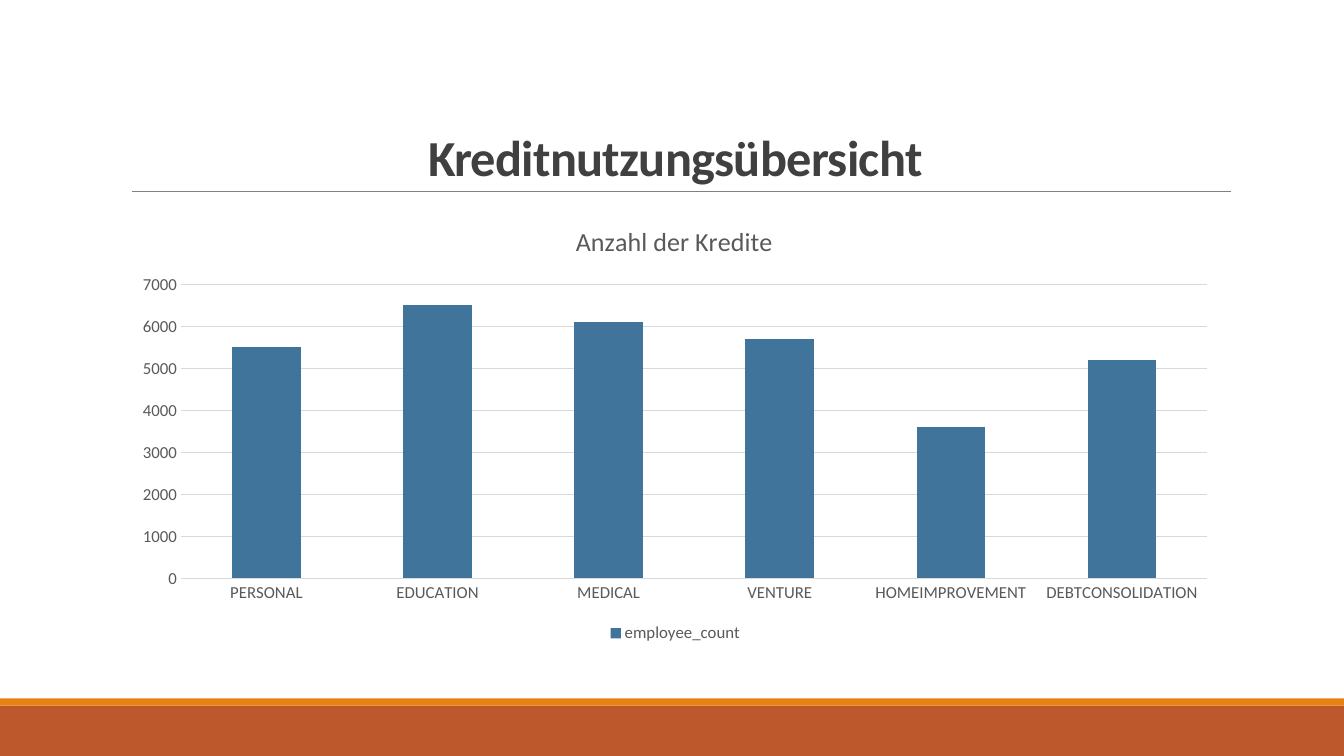
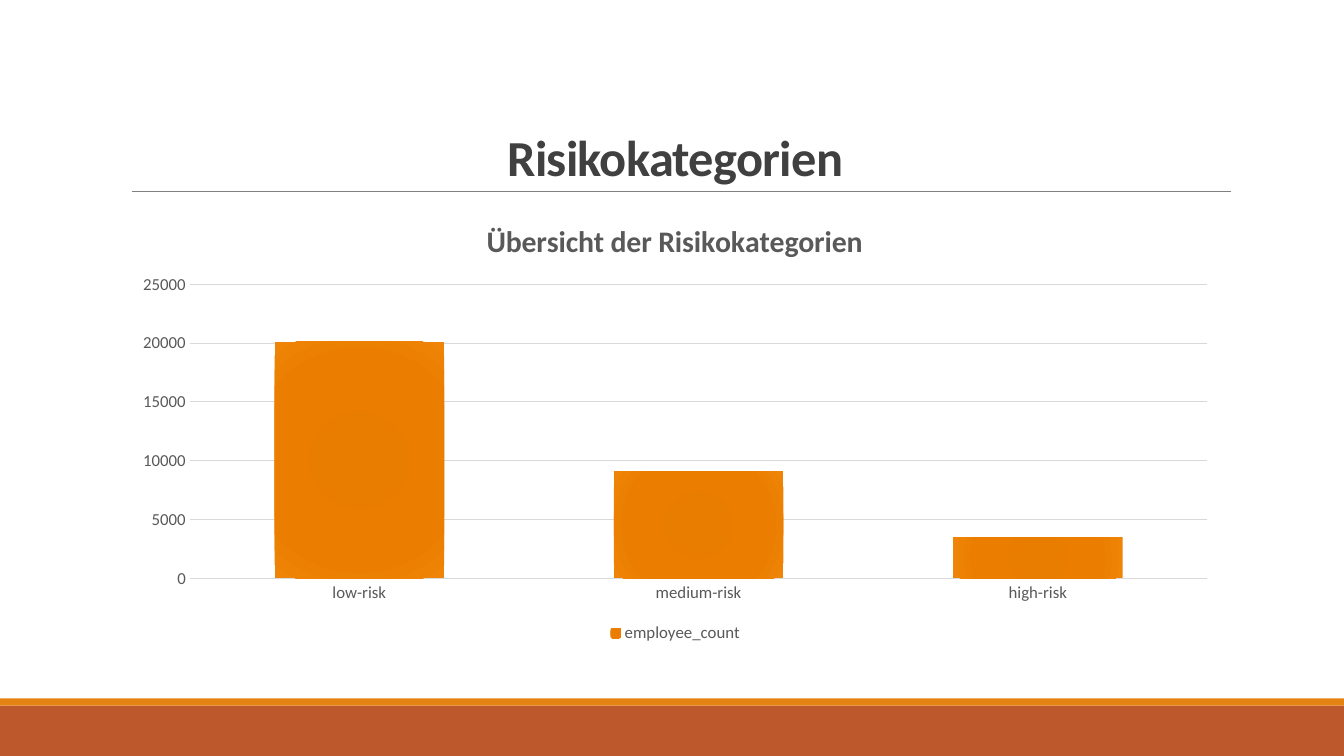
from lxml import etree
from pptx import Presentation
from pptx import util as u
from pptx.chart.data import CategoryChartData
from pptx.dml.color import RGBColor
from pptx.enum import chart as ch, shapes, text
from pptx.oxml import parse_xml
from pptx.oxml.ns import nsdecls, qn

WHITE = RGBColor(0xFF, 0xFF, 0xFF)
RUST = RGBColor(0xBD, 0x58, 0x2C)
ORANGE = RGBColor(0xE4, 0x83, 0x12)
RULE_GREY = RGBColor(0x80, 0x80, 0x80)
TITLE_GREY = RGBColor(0x40, 0x40, 0x40)
LABEL_GREY = RGBColor(0x59, 0x59, 0x59)
GRID_GREY = RGBColor(0xD9, 0xD9, 0xD9)
BLUE = RGBColor(0x40, 0x74, 0x9B)
GLOW = [(0, RGBColor(0xE5, 0x7B, 0x00)), (34, RGBColor(0xE8, 0x7D, 0x00)),
        (70, RGBColor(0xEB, 0x7E, 0x00)), (100, RGBColor(0xEF, 0x84, 0x07))]
FONT = "Calibri"

BANDS = [(17.78, 1.27, RUST), (17.6, 0.18, ORANGE)]
LEFT, WIDTH = u.Cm(3.05), u.Cm(27.94)

OVERVIEWS = [
    dict(heading="Kreditnutzungsübersicht", caption="Anzahl der Kredite",
         caption_size=18.6, caption_bold=False, caption_at=(0.406, 0.033),
         counts={"PERSONAL": 5500, "EDUCATION": 6500, "MEDICAL": 6100,
                 "VENTURE": 5700, "HOMEIMPROVEMENT": 3600, "DEBTCONSOLIDATION": 5200},
         gap=150, overlap=0, plot_left=0.054, step=1000, top=7000,
         baseline=False, fill=BLUE),
    dict(heading="Risikokategorien", caption="Übersicht der Risikokategorien",
         caption_size=21.3, caption_bold=True, caption_at=(0.325, 0.026),
         counts={"low-risk": 20100, "medium-risk": 9100, "high-risk": 3500},
         gap=100, overlap=-24, plot_left=0.062, step=5000, top=25000,
         baseline=True, fill=GLOW),
]


def write(paragraph, content, size, color, bold=False, spacing=None):
    run = paragraph.add_run()
    run.text = content
    run.font.name = FONT
    run.font.size = u.Pt(size)
    run.font.bold = bold
    run.font.color.rgb = color
    if spacing is not None:
        run.font._element.set("spc", str(round(spacing * 100)))


def manual_layout(x, y, w=None, h=None):
    parts = '<c:layoutTarget val="inner"/>' if w else ""
    parts += '<c:xMode val="edge"/><c:yMode val="edge"/>'
    for tag, value in zip("xywh", (x, y, w, h)):
        if value is not None:
            parts += f'<c:{tag} val="{value:.3f}"/>'
    return parse_xml(f'<c:layout {nsdecls("c")}><c:manualLayout>{parts}</c:manualLayout></c:layout>')


prs = Presentation()
prs.slide_width, prs.slide_height = u.Cm(33.87), u.Cm(19.05)

for view in OVERVIEWS:
    slide = prs.slides.add_slide(prs.slide_layouts[6])
    slide.background.fill.solid()
    slide.background.fill.fore_color.rgb = WHITE

    for y, height, color in BANDS:
        band = slide.shapes.add_shape(shapes.MSO_SHAPE.RECTANGLE, 0, u.Cm(y),
                                      prs.slide_width, u.Cm(height))
        band.shadow.inherit = False
        band.fill.solid()
        band.fill.fore_color.rgb = color
        band.line.fill.background()

    rule = slide.shapes.add_connector(shapes.MSO_CONNECTOR.STRAIGHT, u.Cm(3.32), u.Cm(4.83),
                                      u.Cm(31.01), u.Cm(4.83))
    rule.line.color.rgb = RULE_GREY
    rule.line.width = u.Pt(0.5)
    etree.SubElement(rule._element.spPr, qn("a:effectLst"))

    heading = slide.shapes.add_textbox(LEFT, u.Cm(0.79), WIDTH, u.Cm(4.04)).text_frame
    heading.word_wrap = True
    heading.vertical_anchor = text.MSO_ANCHOR.BOTTOM
    heading.paragraphs[0].alignment = text.PP_ALIGN.CENTER
    heading.paragraphs[0].line_spacing = 0.85
    write(heading.paragraphs[0], view["heading"], size=36, color=TITLE_GREY, bold=True, spacing=-0.5)

    data = CategoryChartData()
    data.categories = list(view["counts"])
    data.add_series("employee_count", list(view["counts"].values()))
    chart = slide.shapes.add_chart(ch.XL_CHART_TYPE.COLUMN_CLUSTERED, LEFT, u.Cm(5.13),
                                   WIDTH, u.Cm(11.18), data).chart
    chart.font.name = FONT
    chart.font.size = u.Pt(12)
    chart.font.color.rgb = LABEL_GREY

    chart.has_title = True
    write(chart.chart_title.text_frame.paragraphs[0], view["caption"], size=view["caption_size"],
          color=LABEL_GREY, bold=view["caption_bold"])
    chart.chart_title.include_in_layout = False
    caption = chart.chart_title._element
    for old in caption.findall(qn("c:layout")):
        caption.remove(old)
    caption.find(qn("c:tx")).addnext(manual_layout(*view["caption_at"]))

    plot_area = chart._chartSpace.chart.plotArea
    for old in plot_area.findall(qn("c:layout")):
        plot_area.remove(old)
    plot_area.insert(0, manual_layout(view["plot_left"], 0.182, 0.98 - view["plot_left"], 0.663))

    chart.has_legend = True
    chart.legend.position = ch.XL_LEGEND_POSITION.BOTTOM
    chart.legend.include_in_layout = False

    for axis in (chart.category_axis, chart.value_axis):
        axis.major_tick_mark = axis.minor_tick_mark = ch.XL_TICK_MARK.NONE
        axis.format.line.fill.background()
    if view["baseline"]:
        chart.category_axis.format.line.color.rgb = GRID_GREY
        chart.category_axis.format.line.width = u.Pt(1)
    counts_axis = chart.value_axis
    counts_axis.minimum_scale, counts_axis.maximum_scale = 0, view["top"]
    counts_axis.major_unit = view["step"]
    counts_axis.tick_labels.number_format = "General"
    counts_axis.tick_labels.number_format_is_linked = False
    counts_axis.major_gridlines.format.line.color.rgb = GRID_GREY
    counts_axis.major_gridlines.format.line.width = u.Pt(0.75)

    columns = chart.plots[0]
    columns.vary_by_categories = False
    columns.gap_width = view["gap"]
    columns.overlap = view["overlap"]
    employees = columns.series[0]
    employees.format.line.fill.background()
    if view["fill"] is GLOW:
        stops = "".join(f'<a:gs pos="{pos * 1000}"><a:srgbClr val="{color}"/></a:gs>'
                        for pos, color in GLOW)
        employees._element.spPr.insert(0, parse_xml(
            f'<a:gradFill {nsdecls("a")} rotWithShape="1"><a:gsLst>{stops}</a:gsLst>'
            '<a:path path="circle"><a:fillToRect l="100000" t="100000" r="100000" b="100000"/></a:path>'
            '</a:gradFill>'))
    else:
        employees.format.fill.solid()
        employees.format.fill.fore_color.rgb = view["fill"]

prs.save("out.pptx")
